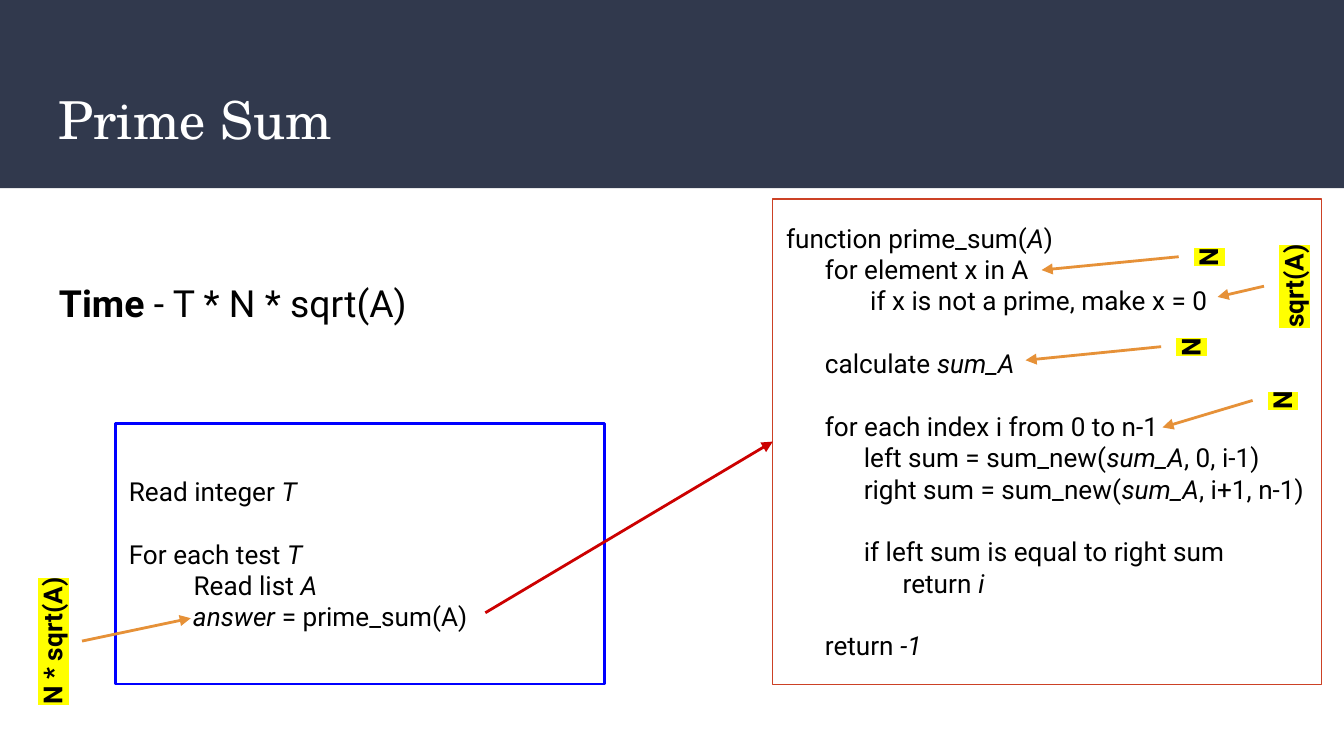
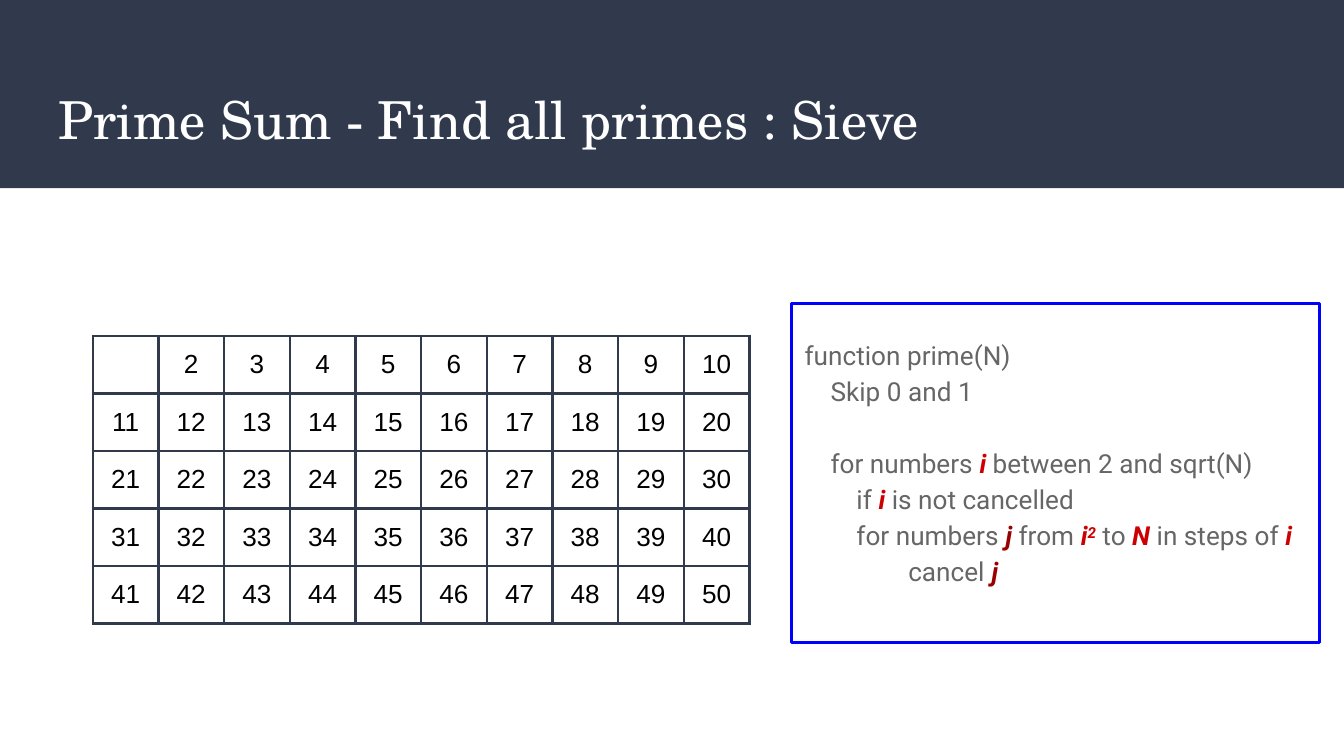
"""Build two slides on the Prime Sum problem: its running time and the sieve."""
from lxml.etree import SubElement as Sub
from pptx import Presentation
from pptx.dml.color import RGBColor
from pptx.enum.shapes import MSO_CONNECTOR as Link, MSO_SHAPE as Form
from pptx.enum.text import MSO_ANCHOR as Anchor, PP_ALIGN as Align
from pptx.oxml.ns import qn
from pptx.util import Pt

WIDE, HIGH = 720, 405
NAVY, BLUE, RUST, RED = "31394D", "0000FF", "CC4125", "CC0000"
DARK, GOLD, LIME = "990000", "E69138", "FFFF00"
BLACK, GREY, WHITE = "000000", "666666", "FFFFFF"
BODY, HEAD, PLAIN = "Roboto", "TeX Gyre Schola", "Arial"
PAD = 7.2
TITLE = (24.5, 39.6, 671, 49)

SUM = [
    "function prime_sum(|A|)",
    "      for element x in A",
    "             if x is not a prime, make x = 0",
    "",
    "      calculate |sum_A|",
    "",
    "      for each index i from 0 to n-1",
    "            left sum = sum_new(|sum_A|, 0, i-1)",
    "            right sum = sum_new(|sum_A|, i+1, n-1)",
    "",
    "            if left sum is equal to right sum",
    "                  return |i|",
    "",
    "      return |-1|",
]
MAIN = [
    "Read integer |T|",
    "",
    "For each test |T|",
    "          Read list |A|",
    "|          answer |= prime_sum(A)",
]
SIEVE = [
    "function prime(N)",
    "    Skip 0 and 1",
    "",
    "    for numbers |i| between 2 and sqrt(N)",
    "        if |i| is not cancelled",
    "        for numbers |j| from |i||^2| to |N| in steps of |i|",
    "                cancel |j|",
]
TIME = ["|Time |- T * N * sqrt(A)"]

TOP, BASE = 0, 2
TAG = 31.7
COSTS = [
    ("sqrt(A)", (653, 137.5), 80, TOP, (652.3, 159.1)),
    ("N", (619.9, 169.9), 36, TOP, (549.4, 193)),
    ("N", (668.9, 198.7), 36, TOP, (622.8, 229)),
    ("N", (629.3, 121.7), 36, TOP, (558, 144.7)),
    ("N * sqrt(A)", (-15.8, 327.6), 87.8, BASE, (102.2, 331.2)),
]

ROWS, COLS = 5, 10
GRID = (49.7, 180, 352, 151)


def tint(code):
    return RGBColor.from_string(code)


def pts(*nums):
    return [Pt(num) for num in nums]


def write(frame, lines, size=14, face=BODY, ink=BLACK, bold=False, mark=None,
          slant=False, strong=False, hues=None, align=Align.LEFT, lead=None, gap=16.8):
    """Fill a frame; text between bars is emphasised and "" leaves a gap."""
    fresh, skip = True, False
    for line in lines:
        if not line:
            skip = True
            continue
        para = frame.paragraphs[0] if fresh else frame.add_paragraph()
        para.alignment = align
        if lead:
            para.line_spacing = lead
        if skip:
            para.space_before = Pt(gap)
        fresh, skip = False, False
        for spot, part in enumerate(line.split("|")):
            if not part:
                continue
            key = spot % 2 == 1
            run = para.add_run()
            run.text = part.lstrip("^")
            font = run.font
            font.size, font.name = Pt(size), face
            font.bold = bold or (key and strong)
            font.italic = key and slant
            shade = hues.get(part, RED) if key and hues else ink
            font.color.rgb = tint(shade)
            props = run._r.get_or_add_rPr()
            if part.startswith("^"):
                props.set("baseline", "30000")
            if mark:
                glow = Sub(props, qn("a:highlight"))
                Sub(glow, qn("a:srgbClr"), val=mark)
                props.find(qn("a:solidFill")).addnext(glow)


def setup(frame, anchor=Anchor.TOP, foot=PAD):
    frame.word_wrap = True
    frame.vertical_anchor = anchor
    frame.margin_left = frame.margin_right = frame.margin_top = Pt(PAD)
    frame.margin_bottom = Pt(foot)
    return frame


def note(slide, area, lines, anchor=Anchor.TOP, **style):
    box = slide.shapes.add_textbox(*pts(*area))
    write(setup(box.text_frame, anchor), lines, **style)
    return box


def panel(slide, area, edge, width, lines, foot=PAD, **style):
    box = slide.shapes.add_shape(Form.RECTANGLE, *pts(*area))
    box.shadow.inherit = False
    box.fill.background()
    box.line.color.rgb = tint(edge)
    box.line.width = Pt(width)
    write(setup(box.text_frame, Anchor.MIDDLE, foot), lines, **style)
    return box


def arrow(slide, start, end, hue):
    link = slide.shapes.add_connector(Link.STRAIGHT, *pts(*start, *end))
    link.line.color.rgb = tint(hue)
    link.line.width = Pt(1.5)
    Sub(link.line._get_or_add_ln(), qn("a:tailEnd"), type="triangle")
    Sub(link._element.spPr, qn("a:effectLst"))
    return link


def cost(slide, text, spot, width, side, tip):
    """Add an upright tag and an arrow from its side to the code line."""
    tag = note(slide, (*spot, width, TAG), [text], bold=True, mark=LIME,
               align=Align.CENTER)
    tag.rotation = 270
    turn = -1 if side == TOP else 1
    start = (spot[0] + width / 2 + turn * TAG / 2, spot[1] + TAG / 2)
    link = arrow(slide, start, tip, GOLD)
    link.begin_connect(tag, side)
    link.begin_x, link.begin_y = pts(*start)


def page(deck, title):
    slide = deck.slides.add_slide(deck.slide_layouts[6])
    band = slide.shapes.add_shape(Form.RECTANGLE, *pts(0, 0, WIDE, 100.8))
    band.shadow.inherit = False
    band.fill.solid()
    band.fill.fore_color.rgb = tint(NAVY)
    band.line.fill.background()
    note(slide, TITLE, [title], size=28, face=HEAD, ink=WHITE)
    return slide


def border(cell):
    props = cell._tc.get_or_add_tcPr()
    for side in "LRTB":
        edge = Sub(props, qn("a:ln" + side), w=str(Pt(1.5)))
        Sub(Sub(edge, qn("a:solidFill")), qn("a:srgbClr"), val=NAVY)


def grid(slide):
    table = slide.shapes.add_table(ROWS, COLS, *pts(*GRID)).table
    table.first_row = table.horz_banding = False
    for col in table.columns:
        col.width = Pt(GRID[2] / COLS)
    for row in table.rows:
        row.height = Pt(GRID[3] / ROWS)
    for num, cell in enumerate(table.iter_cells(), 1):
        border(cell)
        cell.fill.background()
        cell.vertical_anchor = Anchor.MIDDLE
        cell.margin_left = cell.margin_right = Pt(PAD)
        cell.margin_top = cell.margin_bottom = Pt(7)
        if num > 1:
            write(cell.text_frame, [str(num)], face=PLAIN, align=Align.CENTER)
        else:
            para = cell.text_frame.paragraphs[0]
            Sub(para._p, qn("a:endParaRPr"), sz="1400")


def timing(deck):
    slide = page(deck, "Prime Sum")
    code = panel(slide, (414, 106.6, 293.8, 260), RUST, 0.75, SUM, slant=True)
    panel(slide, (61.9, 226.8, 262, 139.7), BLUE, 1.5, MAIN, slant=True)
    call = arrow(slide, (260, 328.3), (414, 236.6), RED)
    call.end_connect(code, 1)
    for item in COSTS:
        cost(slide, *item)
    note(slide, (24.5, 141.8, 310.3, 41), TIME, Anchor.MIDDLE, size=20, strong=True)


def sieve(deck):
    slide = page(deck, "Prime Sum - Find all primes : Sieve")
    grid(slide)
    panel(slide, (424, 162.7, 283, 181.4), BLUE, 1.5, SIEVE, foot=20, ink=GREY,
          slant=True, strong=True, hues={"j": DARK}, lead=1.15, gap=19.3)


def main():
    deck = Presentation()
    deck.slide_width, deck.slide_height = pts(WIDE, HIGH)
    timing(deck)
    sieve(deck)
    deck.save("out.pptx")


if __name__ == "__main__":
    main()
